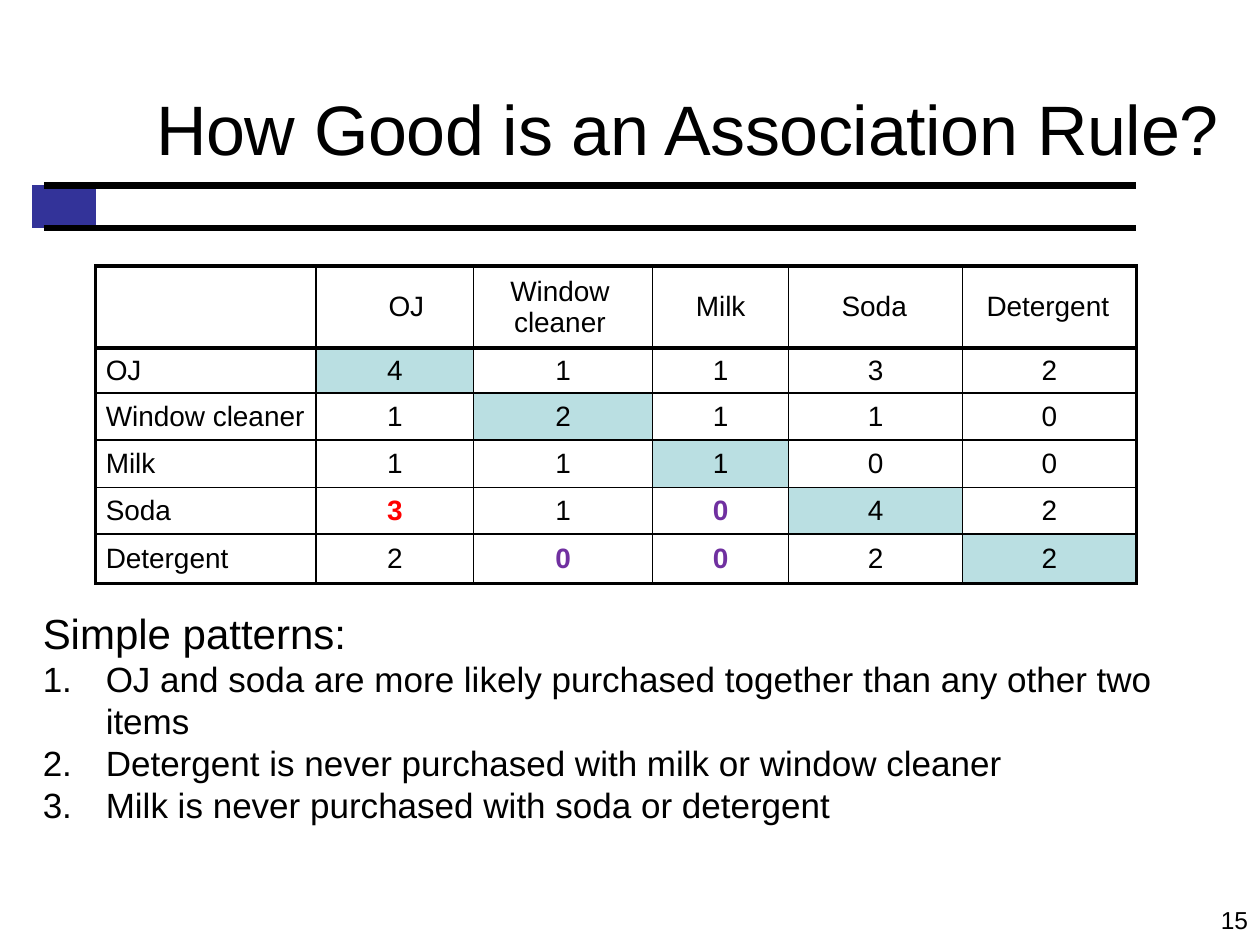
from pptx import Presentation
from pptx.dml.color import RGBColor
from pptx.enum.text import MSO_ANCHOR as Anchor, PP_ALIGN as Align
from pptx.oxml.ns import qn
from pptx.util import Inches, Pt
from lxml.etree import SubElement


def color(hex_value):
    return RGBColor.from_string(hex_value)


def write(paragraph, text, size=16, ink="000000", bold=False, align=Align.LEFT,
          left=0, hanging=0, numbered=False, tracking=0, line=None):
    run = paragraph.add_run()
    run.text = text
    run.font.name, run.font.size, run.font.bold = "Arial", Pt(size), bold
    run.font.color.rgb = color(ink)
    if tracking:
        run.font._element.set("spc", str(tracking))
    paragraph.alignment = align
    if line:
        paragraph.line_spacing = Pt(line)
    props = paragraph._p.get_or_add_pPr()
    props.set("marL", str(Inches(left)))
    props.set("indent", str(Inches(hanging)))
    if numbered:
        SubElement(props, qn("a:buAutoNum"), type="arabicPeriod")


prs = Presentation()
prs.slide_width, prs.slide_height = Inches(10), Inches(7.5)
slide = prs.slides.add_slide(prs.slide_layouts[6])

# Text frames: page number, title, patterns
frames = []
for left, top, width, height, inset_top, inset_right in [
    (9.66, 7.17, 0.27, 0.22, 0.01, 0),
    (1.23, 0.62, 8.55, 0.58, 0.06, 0),
    (0.33, 4.79, 9.6, 1.75, 0.03, 0.2),
]:
    box = slide.shapes.add_textbox(Inches(left), Inches(top), Inches(width), Inches(height))
    frame = box.text_frame
    frame.word_wrap = True
    frame.margin_left = frame.margin_bottom = 0
    frame.margin_top, frame.margin_right = Inches(inset_top), Inches(inset_right)
    frames.append(frame)
page_number, title, patterns = frames

write(page_number.paragraphs[0], "15", size=14, left=0.03)
write(title.paragraphs[0], "How Good is an Association Rule?", size=40, left=0.01, tracking=-20)
write(patterns.paragraphs[0], "Simple patterns:", size=24, left=0.01)
for pattern in [
    "OJ and soda are more likely purchased together than any other two items",
    "Detergent is never purchased with milk or window cleaner",
    "Milk is never purchased with soda or detergent",
]:
    write(patterns.add_paragraph(), pattern, size=20, left=0.51, hanging=-0.5,
          numbered=True, line=24)

# Table: a ruled band in the top rows, the purchase counts below it
col_widths = [0.1, 0.41, 1.75, 1.25, 1.42, 1.08, 1.38, 1.38]
row_heights = [0.3, 0.34, 0.3, 0.65, 0.36, 0.37, 0.38, 0.37, 0.39]
ROWS, COLS = len(row_heights), len(col_widths)
HEAD_ROW, NAME_COL = 3, 2
table = slide.shapes.add_table(ROWS, COLS, Inches(0.25), Inches(1.17),
                               Inches(sum(col_widths)), Inches(sum(row_heights))).table
table.first_row = table.horz_banding = False
for column, width in zip(table.columns, col_widths):
    column.width = Inches(width)
for row, height in zip(table.rows, row_heights):
    row.height = Inches(height)

# Line weights, by the index of the row or column that follows the line
band_lines = {1: 4.32, 2: 4.32}
row_lines = {i: 2.25 if i in (HEAD_ROW, HEAD_ROW + 1, ROWS) else 1
             for i in range(HEAD_ROW, ROWS + 1)}
col_lines = {i: 2.25 if i in (NAME_COL, COLS) else 1 for i in range(NAME_COL, COLS + 1)}

for r in range(ROWS):
    for c in range(COLS):
        cell = table.cell(r, c)
        cell.margin_left = cell.margin_right = cell.margin_top = cell.margin_bottom = 0
        cell.vertical_anchor = Anchor.MIDDLE
        across = {**(band_lines if c >= 1 else {}), **(row_lines if c >= NAME_COL else {})}
        down = col_lines if r >= HEAD_ROW else {}
        for side, weight in [("L", down.get(c)), ("R", down.get(c + 1)),
                             ("T", across.get(r)), ("B", across.get(r + 1))]:
            border = SubElement(cell._tc.get_or_add_tcPr(), qn("a:ln" + side))
            if weight:
                border.set("w", str(Pt(weight)))
                ink = SubElement(border, qn("a:solidFill"))
                SubElement(ink, qn("a:srgbClr"), val="000000")
            else:
                SubElement(border, qn("a:noFill"))
        on_diagonal = r > HEAD_ROW and r - HEAD_ROW == c - NAME_COL
        if on_diagonal or (r == 1 and c < NAME_COL):
            cell.fill.solid()
            cell.fill.fore_color.rgb = color("BADFE2" if on_diagonal else "333399")
        else:
            cell.fill.background()

# Headings and counts
items = ["OJ", "Window cleaner", "Milk", "Soda", "Detergent"]
heading_formats = [
    dict(align=Align.CENTER, left=0.18),
    dict(left=0.32, hanging=-0.03),
    dict(align=Align.CENTER),
    dict(left=0.42),
    dict(left=0.19),
]
counts = [
    [4, 1, 1, 3, 2],
    [1, 2, 1, 1, 0],
    [1, 1, 1, 0, 0],
    [3, 1, 0, 4, 2],
    [2, 0, 0, 2, 2],
]
highlights = {("Soda", "OJ"): "FF0000", ("Soda", "Milk"): "7030A0",
              ("Detergent", "Window cleaner"): "7030A0", ("Detergent", "Milk"): "7030A0"}

for i, item in enumerate(items, start=1):
    heading = table.cell(HEAD_ROW, NAME_COL + i).text_frame.paragraphs[0]
    write(heading, item, **heading_formats[i - 1])
    name = table.cell(HEAD_ROW + i, NAME_COL).text_frame.paragraphs[0]
    write(name, item, left=0.08)
    for j, (other, count) in enumerate(zip(items, counts[i - 1]), start=1):
        highlight = highlights.get((item, other))
        write(table.cell(HEAD_ROW + i, NAME_COL + j).text_frame.paragraphs[0], str(count),
              align=Align.CENTER, ink=highlight or "000000", bold=bool(highlight))

prs.save("out.pptx")
